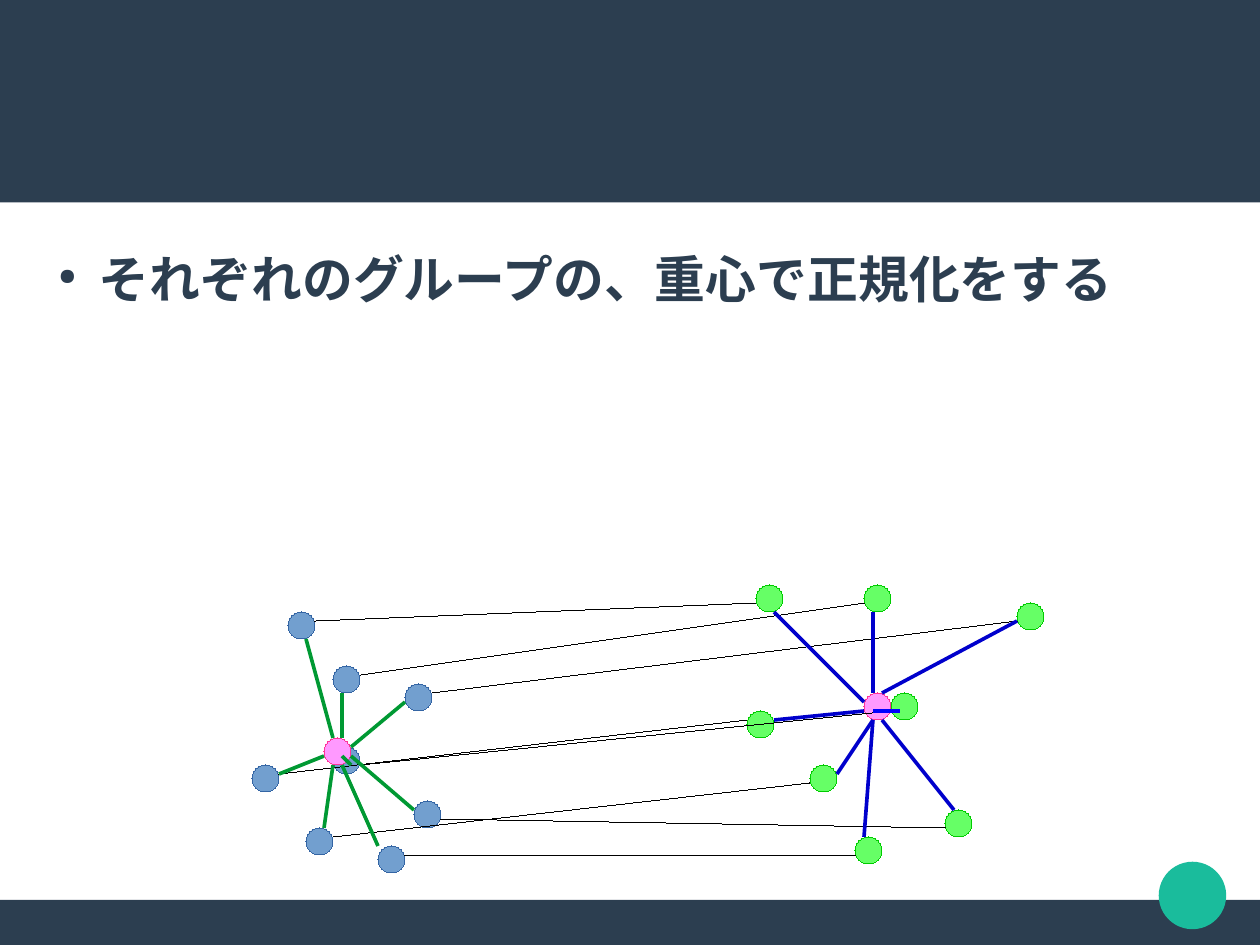
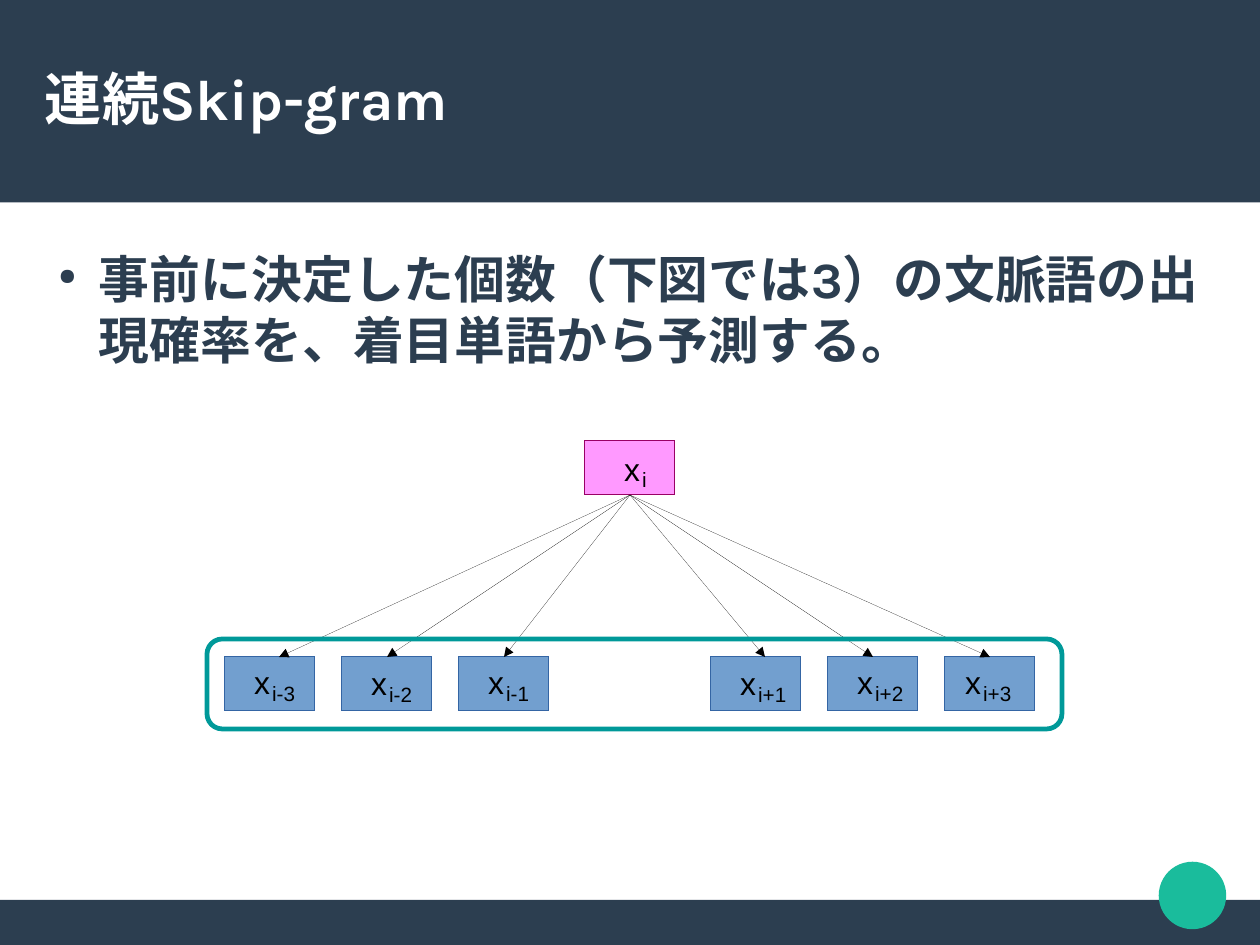
from lxml.etree import SubElement
from pptx import Presentation
from pptx.dml.color import RGBColor
from pptx.enum.lang import MSO_LANGUAGE_ID as Language
from pptx.enum.shapes import MSO_CONNECTOR as Connector, MSO_SHAPE as Shape
from pptx.enum.text import MSO_ANCHOR as Anchor
from pptx.oxml.ns import qn
from pptx.util import Cm, Pt

COLORS = {
    "navy": "2C3E50", "teal": "1ABC9C", "white": "FFFFFF", "black": "000000",
    "blue": "729FCF", "blue edge": "3465A4",
    "green": "66FF66", "green edge": "00CC00",
    "pink": "FF99FF", "hot pink": "FF3399", "plum": "990066",
    "green spoke": "009933", "blue spoke": "0000CC", "bright spoke": "0000FF",
    "frame": "009999",
}
HEADING_FONT = "Karla"
LABEL_FONT = "Arial"
WIDTH, HEIGHT = 28, 21
MARGIN, TEXT_WIDTH = 1, 26

CENTROID_TEXT = "それぞれのグループの、重心で正規化をする"
SKIP_GRAM_TITLE = "連続Skip-gram"
SKIP_GRAM_TEXT = "事前に決定した個数（下図では3）の文脈語の出現確率を、着目単語から予測する。"

DOT = 0.6
DOT_PAIRS = [
    ((6.4, 13.6), (16.8, 13), 0.2, 0.4),
    ((7.4, 14.8), (19.2, 13), 0.2, 0.4),
    ((9, 15.2), (22.6, 13.4), 0.2, 0.4),
    ((7.4, 16.6), (19.8, 15.4), 0.4, 0.4),
    ((5.6, 17), (16.6, 15.8), 0.2, 0.2),
    ((6.8, 18.4), (18, 17), 0.2, 0.4),
    ((9.2, 17.8), (21, 18), 0.4, 0.4),
    ((8.4, 18.8), (19, 18.6), 0.2, 0.4),
]
CENTROIDS = [(7.2, 16.4), (19.2, 15.4)]
SPOKES = {
    "green spoke": [
        ((7.6, 15.4), (7.6, 16.4)), ((6.8, 14.2), (7.4, 16.4)),
        ((9, 15.6), (7.8, 16.6)), ((7.8, 17), (7.6, 16.8)),
        ((6.2, 17.2), (7.2, 16.8)), ((7.4, 17), (7.2, 18.4)),
        ((8.4, 18.8), (7.6, 17)), ((9.2, 18), (7.8, 16.8)),
    ],
    "blue spoke": [
        ((17.2, 16), (19.2, 15.8)), ((18.6, 17.2), (19.4, 16)),
        ((19.4, 13.6), (19.4, 15.4)), ((17.2, 13.6), (19.2, 15.6)),
        ((22.6, 13.8), (19.6, 15.4)), ((19.2, 18.6), (19.4, 16)),
        ((19.6, 16), (21.2, 18)),
    ],
    "bright spoke": [((20, 15.8), (19.4, 15.8))],
}

BOX_WIDTH, BOX_HEIGHT, BOX_STEP = 2, 1.2, 2.6
CONTEXT_TOP = 14.6
FOCUS_LEFT, FOCUS_TOP = 13, 9.8
CONTEXT_GROUPS = [
    (5, [("i-3", 1.2, 0.4, 0), ("i-2", 1, 0.4, 0.03), ("i-1", 1, 0.4, 0)]),
    (15.8, [("i+1", 1.2, 0.4, 0.03), ("i+2", 1, 0.4, 0), ("i+3", 1, 0.2, 0)]),
]


def rgb(name):
    return RGBColor.from_string(COLORS[name])


def set_line(shape, color, width):
    shape.line.color.rgb = rgb(color)
    shape.element.spPr.find(qn("a:ln")).set("w", str(Pt(width)))


def add_figure(slide, kind, left, top, width, height, fill=None, edge=None, edge_width=0):
    shape = slide.shapes.add_shape(kind, Cm(left), Cm(top), Cm(width), Cm(height))
    shape.shadow.inherit = False
    if fill:
        shape.fill.solid()
        shape.fill.fore_color.rgb = rgb(fill)
    else:
        shape.fill.background()
    if edge:
        set_line(shape, edge, edge_width)
    else:
        shape.line.fill.background()
    return shape


def add_line(slide, start, end, color="black", width=0, arrow=False):
    points = [Cm(value) for value in (*start, *end)]
    line = slide.shapes.add_connector(Connector.STRAIGHT, *points)
    set_line(line, color, width)
    properties = line.element.spPr
    if arrow:
        SubElement(properties.find(qn("a:ln")), qn("a:headEnd"), type="triangle")
    SubElement(properties, qn("a:effectLst"))


def add_text(slide, text, left, top, width, height, size, font, color):
    box = slide.shapes.add_textbox(Cm(left), Cm(top), Cm(width), Cm(height))
    frame = box.text_frame
    frame.text = text
    frame.word_wrap = False
    run = frame.paragraphs[0].runs[0]
    run.font.size = Pt(size)
    run.font.name = font
    run.font.color.rgb = rgb(color)
    return frame


def add_heading(slide, text, top, height, size, color):
    frame = add_text(slide, text, MARGIN, top, TEXT_WIDTH, height, size, HEADING_FONT, color)
    frame.word_wrap = True
    frame.margin_left = frame.margin_right = frame.margin_top = frame.margin_bottom = 0
    font = frame.paragraphs[0].runs[0].font
    font.bold = True
    font.language_id = Language.JAPANESE
    run_properties = frame.paragraphs[0].runs[0].font._element
    SubElement(run_properties, qn("a:ea"), typeface=HEADING_FONT)
    return frame


def add_title(slide, text):
    add_heading(slide, text, 0.84, 2.67, 36, "white").vertical_anchor = Anchor.MIDDLE


def add_body(slide, text, height):
    paragraph = add_heading(slide, text, 5.5, height, 32, "navy").paragraphs[0]
    paragraph.space_after = Pt(14.1)
    properties = paragraph._p.get_or_add_pPr()
    properties.set("marL", str(Cm(1.2)))
    properties.set("indent", str(Cm(-0.9)))
    bullet_color = SubElement(properties, qn("a:buClr"))
    SubElement(bullet_color, qn("a:srgbClr"), val=COLORS["navy"])
    SubElement(properties, qn("a:buSzPct"), val="45000")
    SubElement(properties, qn("a:buChar"), char="●")


def add_base_slide(presentation):
    slide = presentation.slides.add_slide(presentation.slide_layouts[6])
    add_figure(slide, Shape.RECTANGLE, 0, 20, WIDTH, 1, "navy")
    add_figure(slide, Shape.RECTANGLE, 0, 0, WIDTH, 4.5, "navy")
    add_figure(slide, Shape.OVAL, 25.75, 19.15, 1.5, 1.5, "teal")
    return slide


def add_dots(slide, positions, fill, edge):
    for left, top in positions:
        add_figure(slide, Shape.OVAL, left, top, DOT, DOT, fill, edge)


def add_label(slide, subscript, left, top):
    add_text(slide, "x", left, top, 0.8, 1.04, 20, LABEL_FONT, "black")
    width = 0.6 if subscript == "i" else 1.2
    add_text(slide, subscript, left + 0.4, top + 0.4, width, 0.76, 13, LABEL_FONT, "black")


def build_centroid_slide(presentation):
    slide = add_base_slide(presentation)
    add_body(slide, CENTROID_TEXT, 7.1)
    add_dots(slide, [pair[0] for pair in DOT_PAIRS], "blue", "blue edge")
    add_dots(slide, [pair[1] for pair in DOT_PAIRS], "green", "green edge")
    add_dots(slide, CENTROIDS, "pink", "hot pink")
    for (left, top), (right, right_top), start_drop, end_drop in DOT_PAIRS:
        add_line(slide, (left + DOT, top + start_drop), (right, right_top + end_drop))
    for color, spokes in SPOKES.items():
        for start, end in spokes:
            add_line(slide, start, end, color, 2.3)


def build_skip_gram_slide(presentation):
    slide = add_base_slide(presentation)
    add_title(slide, SKIP_GRAM_TITLE)
    add_body(slide, SKIP_GRAM_TEXT, 2.7)
    context_words = [
        (group_left + index * BOX_STEP, *word)
        for group_left, words in CONTEXT_GROUPS
        for index, word in enumerate(words)
    ]
    for left, *_ in context_words:
        add_figure(slide, Shape.RECTANGLE, left, CONTEXT_TOP, BOX_WIDTH, BOX_HEIGHT,
                   "blue", "blue edge")
    add_figure(slide, Shape.RECTANGLE, FOCUS_LEFT, FOCUS_TOP, BOX_WIDTH, BOX_HEIGHT,
               "pink", "plum")
    focus_bottom = (FOCUS_LEFT + BOX_WIDTH / 2, FOCUS_TOP + BOX_HEIGHT)
    for left, _, arrow_offset, _, _ in context_words:
        add_line(slide, (left + arrow_offset, CONTEXT_TOP), focus_bottom, arrow=True)
    for left, subscript, _, label_offset, drop in context_words:
        add_label(slide, subscript, left + label_offset, CONTEXT_TOP + drop)
    add_label(slide, "i", FOCUS_LEFT + 0.62, FOCUS_TOP + 0.06)
    frame = add_figure(slide, Shape.ROUNDED_RECTANGLE, 4.6, 14.2, 19, 2,
                       edge="frame", edge_width=3)
    frame.adjustments[0] = 0.17


def main():
    presentation = Presentation()
    presentation.slide_width = Cm(WIDTH)
    presentation.slide_height = Cm(HEIGHT)
    build_centroid_slide(presentation)
    build_skip_gram_slide(presentation)
    presentation.save("out.pptx")


if __name__ == "__main__":
    main()
